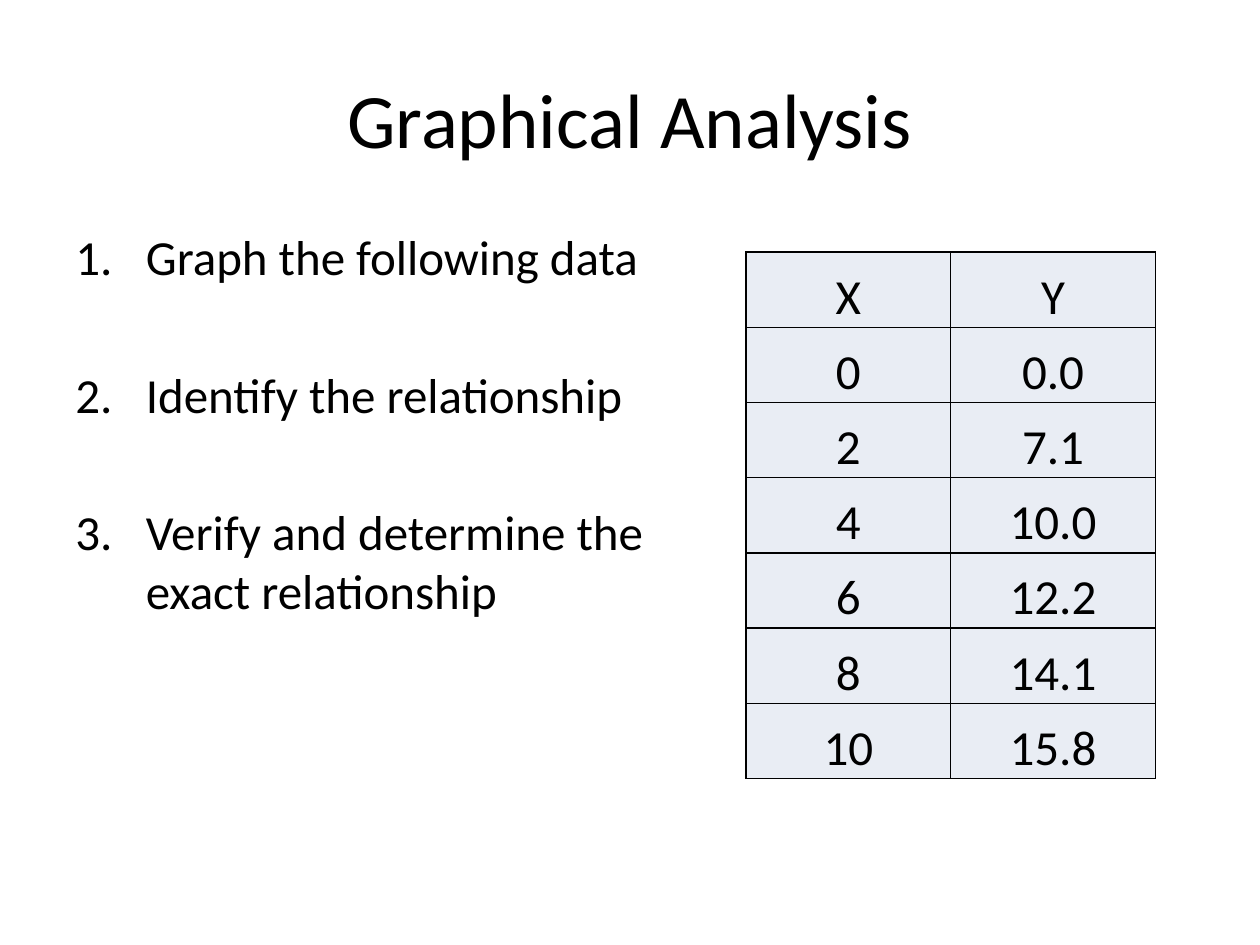
from dataclasses import dataclass

from lxml.etree import SubElement
from pptx import Presentation
from pptx.dml.color import RGBColor
from pptx.enum.text import MSO_ANCHOR as Anchor, PP_ALIGN as Align
from pptx.oxml.ns import qn
from pptx.util import Emu, Inches, Pt

COLORS = {"text": "000000", "border": "000000", "cell": "E9EDF4"}
FONT_NAME = "Calibri"
SLIDE_WIDTH, SLIDE_HEIGHT = Inches(10), Inches(7.5)
BODY_SIZE = 28
NUMBER_INDENT = Inches(0.56)

STEPS = [
    "Graph the following data",
    "Identify the relationship",
    "Verify and determine the \vexact relationship",
]
DATA = [
    ("X", "Y"),
    ("0", "0.0"),
    ("2", "7.1"),
    ("4", "10.0"),
    ("6", "12.2"),
    ("8", "14.1"),
    ("10", "15.8"),
]


@dataclass(frozen=True)
class Area:
    """A rectangle given in shares of the slide's width and height."""
    left: float
    top: float
    width: float
    height: float

    def box(self) -> tuple[Emu, Emu, Emu, Emu]:
        return (Emu(int(self.left * SLIDE_WIDTH)), Emu(int(self.top * SLIDE_HEIGHT)),
                Emu(int(self.width * SLIDE_WIDTH)), Emu(int(self.height * SLIDE_HEIGHT)))


TITLE_AREA = Area(0.05, 0.04, 0.9, 0.17)
STEPS_AREA = Area(0.05, 0.2333, 0.9, 0.66)
TABLE_AREA = Area(0.592, 0.2667, 0.325, 0.5573)


def set_all(target: object, values: dict) -> None:
    for name, value in values.items():
        setattr(target, name, value)


def write(paragraph, text: str, size: int, align: Align) -> None:
    paragraph.text = text
    paragraph.alignment = align
    for run in paragraph.runs:
        set_all(run.font, {"name": FONT_NAME, "size": Pt(size), "bold": False})
        run.font.color.rgb = RGBColor.from_string(COLORS["text"])


def add_text_frame(slide, area: Area, anchor: Anchor):
    frame = slide.shapes.add_textbox(*area.box()).text_frame
    set_all(frame, {"word_wrap": True, "vertical_anchor": anchor})
    return frame


def number(paragraph) -> None:
    properties = paragraph._p.get_or_add_pPr()
    properties.set("marL", str(NUMBER_INDENT))
    properties.set("indent", str(-NUMBER_INDENT))
    SubElement(properties, qn("a:buFont"), typeface=FONT_NAME)
    SubElement(properties, qn("a:buAutoNum"), type="arabicPeriod")


def add_steps(slide, area: Area, steps: list[str]) -> None:
    frame = add_text_frame(slide, area, Anchor.TOP)
    for index, step in enumerate(steps):
        paragraph = frame.add_paragraph() if index else frame.paragraphs[0]
        write(paragraph, step, BODY_SIZE, Align.LEFT)
        paragraph.space_after = Pt(45)
        number(paragraph)


def add_borders(cell) -> None:
    properties = cell._tc.get_or_add_tcPr()
    for side in ("lnL", "lnR", "lnT", "lnB"):
        line = SubElement(properties, qn(f"a:{side}"), w=str(Pt(1)))
        fill = SubElement(line, qn("a:solidFill"))
        SubElement(fill, qn("a:srgbClr"), val=COLORS["border"])


def add_data_table(slide, area: Area, rows: list[tuple[str, str]]) -> None:
    left, top, width, height = area.box()
    row_count, column_count = len(rows), len(rows[0])
    table = slide.shapes.add_table(row_count, column_count, left, top, width, height).table
    set_all(table, {"first_row": False, "horz_banding": False})
    edge = Inches(0.01)
    cell_format = {"margin_left": edge, "margin_right": edge, "margin_top": edge,
                   "margin_bottom": 0, "vertical_anchor": Anchor.BOTTOM}
    for row_index, values in enumerate(rows):
        for column_index, value in enumerate(values):
            cell = table.cell(row_index, column_index)
            set_all(cell, cell_format)
            add_borders(cell)
            cell.fill.solid()
            cell.fill.fore_color.rgb = RGBColor.from_string(COLORS["cell"])
            write(cell.text_frame.paragraphs[0], value, BODY_SIZE, Align.CENTER)


def main() -> None:
    presentation = Presentation()
    set_all(presentation, {"slide_width": SLIDE_WIDTH, "slide_height": SLIDE_HEIGHT})
    slide = presentation.slides.add_slide(presentation.slide_layouts[6])

    # Title
    title = add_text_frame(slide, TITLE_AREA, Anchor.MIDDLE)
    write(title.paragraphs[0], "Graphical Analysis", 44, Align.CENTER)

    # Numbered steps and the data to graph
    add_steps(slide, STEPS_AREA, STEPS)
    add_data_table(slide, TABLE_AREA, DATA)

    presentation.save("out.pptx")


if __name__ == "__main__":
    main()
